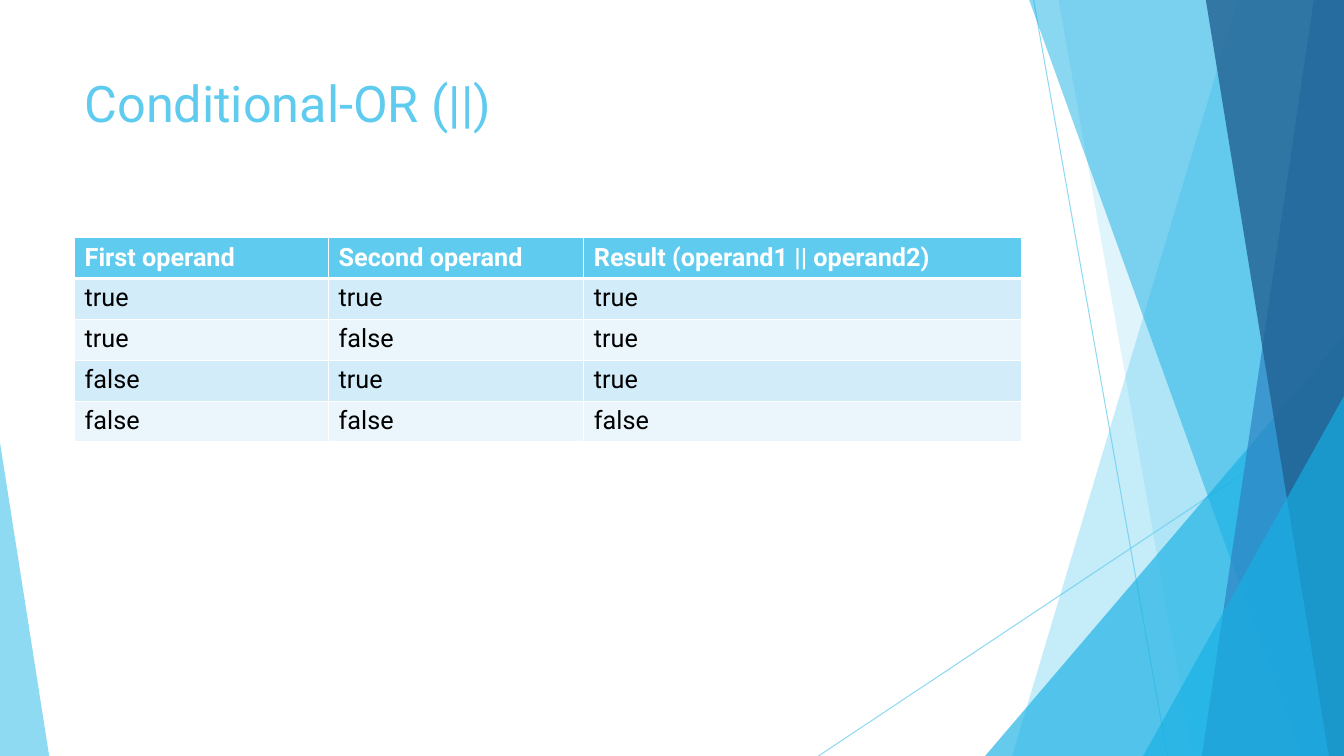
from lxml.etree import SubElement
from pptx import Presentation
from pptx.dml.color import RGBColor
from pptx.enum.shapes import MSO_CONNECTOR, MSO_SHAPE
from pptx.oxml.ns import qn
from pptx.util import Cm, Pt

FONT = "Roboto"
SKY = RGBColor(0x5F, 0xCB, 0xEF)
AZURE = RGBColor(0x17, 0xB0, 0xE4)
BLUE = RGBColor(0x2E, 0x83, 0xC3)
NAVY = RGBColor(0x22, 0x62, 0x92)
ROW_DARK = RGBColor(0xD2, 0xEC, 0xF9)
ROW_LIGHT = RGBColor(0xEA, 0xF6, 0xFC)
WHITE = RGBColor(0xFF, 0xFF, 0xFF)
BLACK = RGBColor(0, 0, 0)

TITLE = "Conditional-OR (||)"
TRUTH_TABLE = [
    ("First operand", "Second operand", "Result (operand1 || operand2)"),
    ("true", "true", "true"),
    ("true", "false", "true"),
    ("false", "true", "true"),
    ("false", "false", "false"),
]

# Lengths in centimetres
WIDTH, HEIGHT = 33.86, 19.05
MARGIN, CONTENT_WIDTH = 1.88, 23.88
TITLE_TOP, TITLE_HEIGHT = 1.7, 3.66
TABLE_TOP, ROW_HEIGHT = 5.99, 1.03
COLUMN_WIDTHS = (6.4, 6.43, 11.03)

# Start x, start y, end x, end y
RAYS = [(26.04, 0, 29.41, HEIGHT), (WIDTH, 10.24, 20.62, HEIGHT)]
# Panels reach the right edge: top x, bottom x, colour, opacity
BACK_PANELS = [(31.19, 25.5, SKY, 36), (26.67, 30.05, SKY, 20)]
FRONT_PANELS = [
    (25.93, 32.79, AZURE, 50),
    (33.1, 30.28, BLUE, 70),
    (30.38, 33.48, NAVY, 80),
]
# Wedges stand on the bottom edge: left, right, top, apex, colour, opacity
BACK_WEDGES = [(24.82, WIDTH, 8.46, 1, AZURE, 66)]
FRONT_WEDGES = [
    (28.8, WIDTH, 9.98, 1, AZURE, 66),
    (0, 1.24, 11.15, 0, SKY, 70),
]


def set_opacity(fill_owner, percent):
    """Make the solid colour inside an element partly transparent."""
    colour = fill_owner.find(".//" + qn("a:srgbClr"))
    SubElement(colour, qn("a:alpha"), val=str(percent * 1000))


def paint(shape, colour, opacity):
    """Give a shape a translucent fill without outline or shadow."""
    shape.shadow.inherit = False
    shape.fill.solid()
    shape.fill.fore_color.rgb = colour
    shape.line.fill.background()
    set_opacity(shape._element.spPr, opacity)


def add_ray(slide, *ends):
    """Draw a thin translucent line."""
    ray = slide.shapes.add_connector(MSO_CONNECTOR.STRAIGHT, *map(Cm, ends))
    ray.line.color.rgb = SKY
    ray.line.width = Pt(0.75)
    set_opacity(ray._element.spPr, 70)
    SubElement(ray._element.spPr, qn("a:effectLst"))


def add_panel(slide, top_x, bottom_x, colour, opacity):
    """Draw a full-height panel with a slanted left side."""
    outline = slide.shapes.build_freeform(Cm(top_x), 0)
    corners = [(WIDTH, 0), (WIDTH, HEIGHT), (bottom_x, HEIGHT)]
    outline.add_line_segments([(Cm(x), Cm(y)) for x, y in corners], close=True)
    paint(outline.convert_to_shape(), colour, opacity)


def add_wedge(slide, left, right, top, apex, colour, opacity):
    """Draw a right-angled triangle standing on the bottom edge."""
    wedge = slide.shapes.add_shape(
        MSO_SHAPE.ISOSCELES_TRIANGLE,
        Cm(left), Cm(top), Cm(right - left), Cm(HEIGHT - top))
    wedge.adjustments[0] = apex
    paint(wedge, colour, opacity)


def write(frame, text, size, colour, bold=False):
    """Put one formatted paragraph into a text frame."""
    frame.word_wrap = True
    paragraph = frame.paragraphs[0]
    paragraph.text = text
    font = paragraph.font
    font.name, font.size, font.bold = FONT, Pt(size), bold
    font.color.rgb = colour


def add_borders(cell, top, bottom):
    """Give a cell white borders, with top and bottom widths in points."""
    properties = cell._tc.get_or_add_tcPr()
    for side, width in (("L", 1), ("R", 1), ("T", top), ("B", bottom)):
        border = SubElement(properties, qn("a:ln" + side), w=str(Pt(width)))
        fill = SubElement(border, qn("a:solidFill"))
        SubElement(fill, qn("a:srgbClr"), val=str(WHITE))


def add_truth_table(slide):
    """Build the table with a header and alternating row colours."""
    table = slide.shapes.add_table(
        len(TRUTH_TABLE), len(COLUMN_WIDTHS), Cm(MARGIN), Cm(TABLE_TOP),
        Cm(CONTENT_WIDTH), Cm(ROW_HEIGHT * len(TRUTH_TABLE))).table
    for column, width in zip(table.columns, COLUMN_WIDTHS):
        column.width = Cm(width)
    for r, values in enumerate(TRUTH_TABLE):
        table.rows[r].height = Cm(ROW_HEIGHT)
        header = r == 0
        background = SKY if header else ROW_DARK if r % 2 else ROW_LIGHT
        for c, value in enumerate(values):
            cell = table.cell(r, c)
            add_borders(cell, 3 if r == 1 else 1, 3 if header else 1)
            cell.fill.solid()
            cell.fill.fore_color.rgb = background
            write(cell.text_frame, value, 18, WHITE if header else BLACK, header)


presentation = Presentation()
presentation.slide_width, presentation.slide_height = Cm(WIDTH), Cm(HEIGHT)
slide = presentation.slides.add_slide(presentation.slide_layouts[6])

for add_part, parts in (
    (add_ray, RAYS),
    (add_panel, BACK_PANELS),
    (add_wedge, BACK_WEDGES),
    (add_panel, FRONT_PANELS),
    (add_wedge, FRONT_WEDGES),
):
    for part in parts:
        add_part(slide, *part)

title = slide.shapes.add_textbox(
    Cm(MARGIN), Cm(TITLE_TOP), Cm(CONTENT_WIDTH), Cm(TITLE_HEIGHT))
write(title.text_frame, TITLE, 36, SKY)
add_truth_table(slide)

presentation.save("out.pptx")
